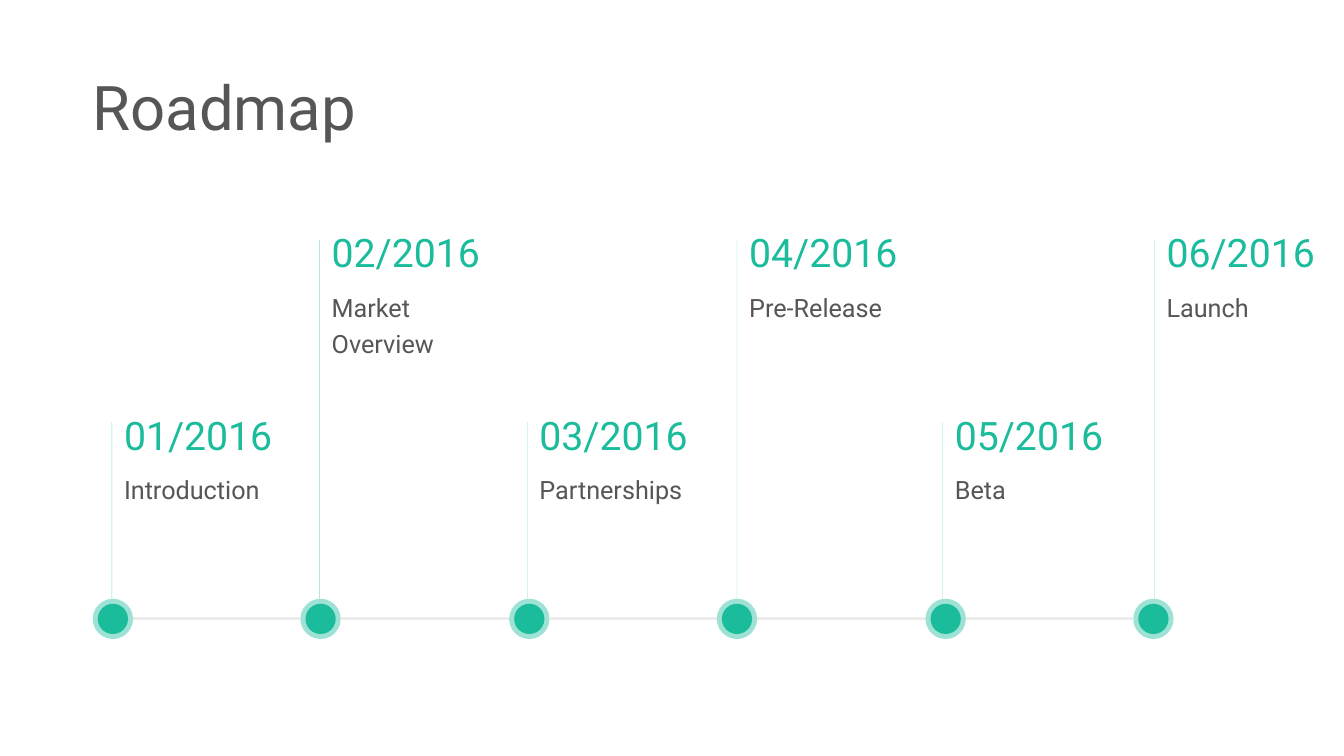
from lxml.etree import SubElement
from pptx import Presentation
from pptx.dml.color import RGBColor
from pptx.enum.shapes import MSO_CONNECTOR, MSO_SHAPE
from pptx.enum.text import MSO_ANCHOR
from pptx.oxml.ns import qn
from pptx.util import Emu, Pt

EMU_PER_PX = 9144
COLORS = {"accent": "1ABC9C", "text": "565656", "track": "EDECEC"}

MILESTONES = [
    ("01/2016", "Introduction", 111),
    ("02/2016", "Market Overview", 317),
    ("03/2016", "Partnerships", 523),
    ("04/2016", "Pre-Release", 731),
    ("05/2016", "Beta", 935),
    ("06/2016", "Launch", 1145),
]
FIRST_CENTER, LAST_CENTER = 112, 1144
TRACK_Y = 614
RADIUS, CORE_RADIUS = 20, 15
LOW_TOP, HIGH_TOP = 403, 222


def px(value):
    return Emu(value * EMU_PER_PX)


class RoadmapSlide:
    font = "Roboto"

    def __init__(self, deck):
        self.page = deck.slides.add_slide(deck.slide_layouts[6])

    def paint(self, color_format, color, alpha):
        color_format.rgb = RGBColor.from_string(COLORS[color])
        if alpha < 100:
            for node in color_format._xFill.iter(qn("a:srgbClr")):
                SubElement(node, qn("a:alpha")).set("val", str(alpha * 1000))

    def text(self, words, left, top, width, height, size, color,
             inset=12, spacing=1.0, before=0):
        box = self.page.shapes.add_textbox(px(left), px(top), px(width), px(height))
        frame = box.text_frame
        frame.word_wrap = True
        frame.vertical_anchor = MSO_ANCHOR.TOP
        frame.margin_left = px(inset)
        frame.text = words
        para = frame.paragraphs[0]
        para.line_spacing = spacing
        para.space_before = Pt(before)
        span = para.runs[0]
        span.font.name = self.font
        span.font.size = Pt(size)
        span.font.color.rgb = RGBColor.from_string(COLORS[color])

    def line(self, start, end, color, weight, alpha=100):
        connector = self.page.shapes.add_connector(
            MSO_CONNECTOR.STRAIGHT, *map(px, start + end))
        connector.line.width = Pt(weight)
        connector.line.fill.solid()
        self.paint_line(connector, color, alpha)
        SubElement(connector._element.spPr, qn("a:effectLst"))

    def paint_line(self, connector, color, alpha):
        connector.line.color.rgb = RGBColor.from_string(COLORS[color])
        self.fade(connector, alpha)

    def fade(self, shape, alpha):
        if alpha < 100:
            node = next(shape._element.spPr.iter(qn("a:srgbClr")))
            SubElement(node, qn("a:alpha")).set("val", str(alpha * 1000))

    def marker(self, center, middle):
        group = self.page.shapes.add_group_shape()
        for radius, alpha in ((RADIUS, 42), (CORE_RADIUS, 100)):
            dot = group.shapes.add_shape(
                MSO_SHAPE.OVAL, px(center - radius), px(middle - radius),
                px(2 * radius), px(2 * radius))
            dot.shadow.inherit = False
            dot.fill.solid()
            dot.fill.fore_color.rgb = RGBColor.from_string(COLORS["accent"])
            dot.line.fill.background()
            self.fade(dot, alpha)

    def milestone(self, date, label, left, top):
        self.line((left, TRACK_Y - RADIUS), (left, top + 16), "accent", 0.25, 51)
        self.text(date, left, top, 185, 57, 28, "accent")
        self.text(label, left, top + 57, 185, 46, 18, "text", spacing=1.2)


def main():
    deck = Presentation()
    deck.slide_width, deck.slide_height = px(1333), px(750)
    slide = RoadmapSlide(deck)

    slide.text("Roadmap", 92, 72, 490, 77, 44, "text", inset=0, spacing=0.9, before=10)

    steps = len(MILESTONES) - 1
    centers = [round(FIRST_CENTER + (LAST_CENTER - FIRST_CENTER) * i / steps)
               for i in range(len(MILESTONES))]
    for start, end in zip(centers, centers[1:]):
        slide.line((start + RADIUS, TRACK_Y), (end - RADIUS, TRACK_Y), "track", 2.25)
    for center in centers:
        slide.marker(center, TRACK_Y)
    for index, (date, label, left) in enumerate(MILESTONES):
        slide.milestone(date, label, left, HIGH_TOP if index % 2 else LOW_TOP)

    deck.save("out.pptx")


if __name__ == "__main__":
    main()
